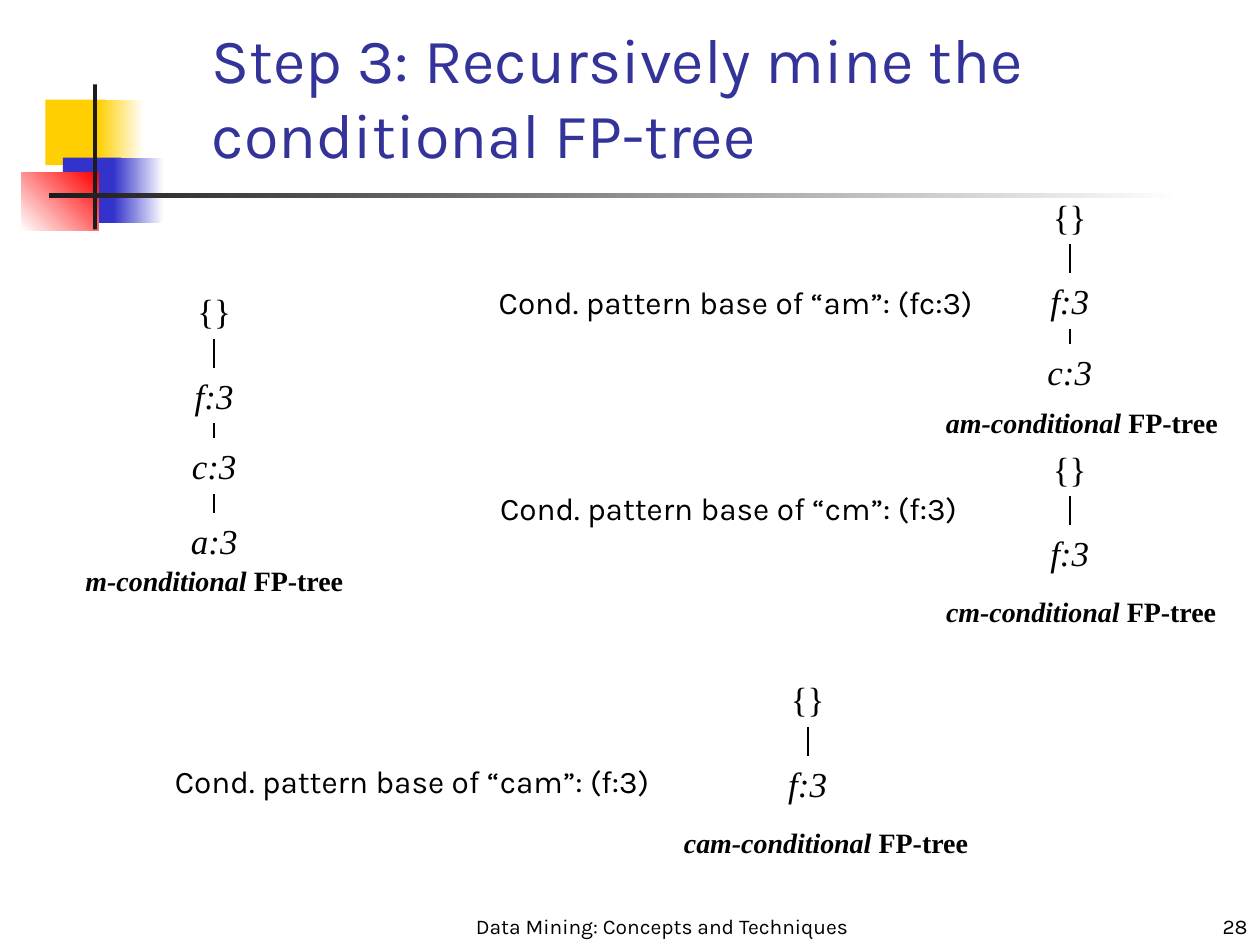
import pptx
import pptx.util
import pptx.dml.color
import pptx.enum.shapes
import pptx.enum.text
import lxml.etree

Inches = pptx.util.Inches
ALIGN = pptx.enum.text.PP_ALIGN
ANCHOR = pptx.enum.text.MSO_ANCHOR
SERIF = "Times New Roman"
SANS = "Karla"
NODE_OFFSETS = [0, 0.67, 1.23, 1.82]
NODE_WIDTHS = {"{}": 0.48, "f:3": 0.53, "c:3": 0.57, "a:3": 0.59}
NODE_HEIGHT = 0.44


def color(value):
    return pptx.dml.color.RGBColor.from_string(value)


def add_run(paragraph, text, size, font, value="000000", bold=False, italic=False):
    run = paragraph.add_run()
    run.text = text
    run.font.size = pptx.util.Pt(size)
    run.font.name = font
    run.font.bold = bold
    run.font.italic = italic
    run.font.color.rgb = color(value)


def add_bar(slide, left, top, width, height, start, end=None, angle=0):
    shape = slide.shapes.add_shape(
        pptx.enum.shapes.MSO_SHAPE.RECTANGLE,
        Inches(left), Inches(top), Inches(width), Inches(height))
    shape.shadow.inherit = False
    shape.line.fill.background()
    if end is None:
        shape.fill.solid()
        shape.fill.fore_color.rgb = color(start)
    else:
        shape.fill.gradient()
        shape.fill.gradient_angle = angle
        for stop, value in zip(shape.fill.gradient_stops, (start, end)):
            stop.color.rgb = color(value)


def add_label(slide, left, top, width, height):
    shape = slide.shapes.add_textbox(
        Inches(left), Inches(top), Inches(width), Inches(height))
    shape.text_frame.word_wrap = False
    shape.text_frame.auto_size = pptx.enum.text.MSO_AUTO_SIZE.SHAPE_TO_FIT_TEXT
    return shape.text_frame.paragraphs[0]


def add_footer(slide, left, width, text, alignment):
    shape = slide.shapes.add_textbox(
        Inches(left), Inches(7.08), Inches(width), Inches(0.42))
    shape.text_frame.word_wrap = True
    shape.text_frame.vertical_anchor = ANCHOR.BOTTOM
    paragraph = shape.text_frame.paragraphs[0]
    paragraph.alignment = alignment
    add_run(paragraph, text, 12, SANS)


def add_branch(slide, axis, top, bottom):
    connector = slide.shapes.add_connector(
        pptx.enum.shapes.MSO_CONNECTOR.STRAIGHT,
        Inches(axis), Inches(top), Inches(axis), Inches(bottom))
    connector.line.color.rgb = color("000000")
    connector.line.width = pptx.util.Pt(1)
    lxml.etree.SubElement(
        connector._element.spPr, pptx.oxml.ns.qn("a:effectLst"))


def add_tree(slide, axis, top, nodes, name, caption_left, caption_top, caption_width):
    tops = [top + offset for offset in NODE_OFFSETS[:len(nodes)]]
    for node, node_top in zip(nodes, tops):
        width = NODE_WIDTHS[node]
        paragraph = add_label(slide, axis - width / 2, node_top, width, NODE_HEIGHT)
        paragraph.alignment = ALIGN.CENTER
        add_run(paragraph, node, 20, SERIF, italic=node != "{}")
    for upper, lower in zip(tops, tops[1:]):
        add_branch(slide, axis, upper + NODE_HEIGHT, lower)
    paragraph = add_label(slide, caption_left, caption_top, caption_width, 0.37)
    add_run(paragraph, f"{name}-conditional ", 16, SERIF, bold=True, italic=True)
    add_run(paragraph, "FP-tree", 16, SERIF, bold=True)


def add_pattern_base(slide, left, top, width, item, pattern):
    paragraph = add_label(slide, left, top, width, 0.4)
    add_run(paragraph, f"Cond. pattern base of “{item}”: ({pattern})", 18, SANS)


def set_title(slide, text):
    title = slide.shapes.title
    title.left, title.top = Inches(1.58), Inches(0.33)
    title.width, title.height = Inches(7.33), Inches(1.08)
    frame = title.text_frame
    frame.word_wrap = True
    frame.auto_size = pptx.enum.text.MSO_AUTO_SIZE.NONE
    frame.vertical_anchor = ANCHOR.BOTTOM
    frame.paragraphs[0].alignment = ALIGN.LEFT
    add_run(frame.paragraphs[0], text, 36, SANS, "333399")


def add_decoration(slide):
    add_bar(slide, 0.36, 0.79, 0.48, 0.52, "FFCF01")
    add_bar(slide, 0.78, 0.79, 0.36, 0.52, "FFCF01", "FFFFFF")
    add_bar(slide, 0.5, 1.25, 0.46, 0.52, "3333CC")
    add_bar(slide, 0.9, 1.25, 0.4, 0.52, "3333CC", "FFFFFF")
    add_bar(slide, 0.17, 1.37, 0.61, 0.46, "FFFFFF", "FF0000", 45)
    add_bar(slide, 0.74, 0.67, 0.03, 1.15, "1C1C1C")
    add_bar(slide, 0.39, 1.53, 9, 0.04, "1C1C1C", "FFFFFF")


def main():
    presentation = pptx.Presentation()
    presentation.slide_width = Inches(10)
    presentation.slide_height = Inches(7.5)
    slide = presentation.slides.add_slide(presentation.slide_layouts[5])

    add_decoration(slide)
    add_footer(slide, 3.67, 3.17, "Data Mining: Concepts and Techniques", ALIGN.CENTER)
    add_footer(slide, 7.92, 2.08, "28", ALIGN.RIGHT)
    set_title(slide, "Step 3: Recursively mine the conditional FP-tree")

    add_tree(slide, 1.7, 2.25, ["{}", "f:3", "c:3", "a:3"], "m", 0.58, 4.42, 2.25)
    add_pattern_base(slide, 3.86, 2.2, 4.06, "am", "fc:3")
    add_tree(slide, 8.49, 1.5, ["{}", "f:3", "c:3"], "am", 7.41, 3.17, 2.36)
    add_pattern_base(slide, 3.87, 3.83, 3.92, "cm", "f:3")
    add_tree(slide, 8.49, 3.5, ["{}", "f:3"], "cm", 7.41, 4.67, 2.35)
    add_pattern_base(slide, 1.29, 6, 4.06, "cam", "f:3")
    add_tree(slide, 6.41, 5.33, ["{}", "f:3"], "cam", 5.33, 6.5, 2.46)

    presentation.save("out.pptx")


if __name__ == "__main__":
    main()
